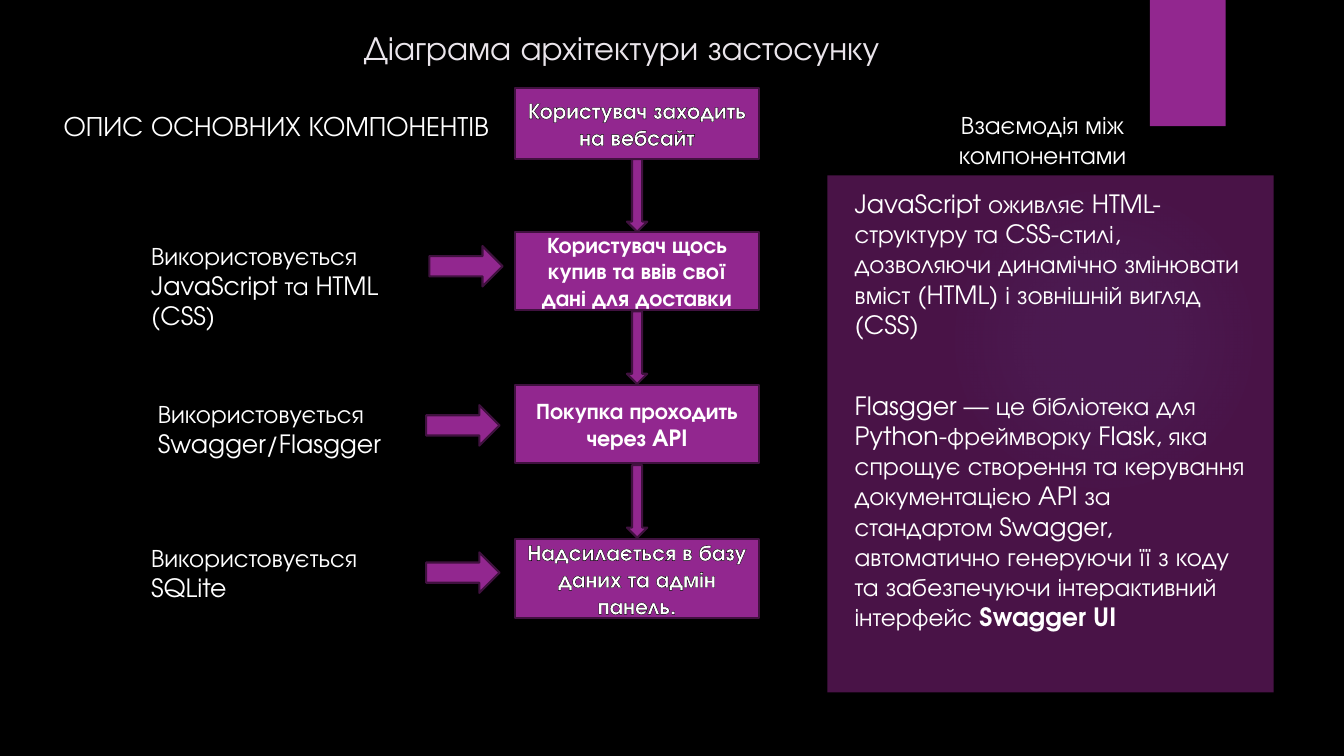
from lxml.etree import SubElement, fromstring
from pptx import Presentation
from pptx.dml.color import RGBColor
from pptx.enum.shapes import MSO_SHAPE as Shape
from pptx.enum.text import MSO_ANCHOR as Anchor, PP_ALIGN as Align
from pptx.oxml.ns import qn
from pptx.util import Cm, Pt

FONT = "TeX Gyre Adventor"
COLORS = {"back": "000000", "fill": "92278F", "line": "40113F",
          "text": "FFFFFF", "title": "EAE5EB", "glow": "45A5ED"}

TITLE = "Діаграма архітектури застосунку"
PARTS = "ОПИС ОСНОВНИХ КОМПОНЕНТІВ"
LINKS = "Взаємодія між компонентами"
STEPS = [  # text, top, height, outlined
    ("Користувач заходить на вебсайт", 2.21, 1.8, True),
    ("Користувач щось купив та ввів свої дані для доставки", 5.84, 1.98, False),
    ("Покупка проходить через API", 9.7, 1.98, False),
    ("Надсилається в базу даних та адмін панель.", 13.59, 1.98, True),
]
NOTES = [
    ("Використовується JavaScript та HTML (CSS)", (3.56, 5.92, 6.78, 2.57), (10.82, 6.2)),
    ("Використовується\nSwagger/Flasgger", (3.73, 9.91, 6.45, 1.8), (10.74, 10.21)),
    ("Використовується\nSQLite", (3.56, 13.54, 6.78, 1.8), (10.74, 13.92)),
]
SCRIPT = ("JavaScript оживляє HTML-структуру та CSS-стилі, дозволяючи динамічно "
          "змінювати вміст (HTML) і зовнішній вигляд (CSS)")
DOCS = ("Flasgger — це бібліотека для Python-фреймворку Flask, яка спрощує створення "
        "та керування документацією API за стандартом Swagger, автоматично генеруючи "
        "її з коду та забезпечуючи інтерактивний інтерфейс\u00a0".replace("\u00a0", " "))
DOCS_END = "Swagger UI"
STEP_X, STEP_W = 12.98, 6.15
DOWN_W, DOWN_H = 1.83, 0.51
SIDE_W, SIDE_H = 1.85, 1.02
GLOW = [(0, 7), (36, 6), (69, 0)]


def rgb(name):
    return RGBColor.from_string(COLORS[name])


def style(frame, size, color="text", align=Align.LEFT, bold=False):
    for para in frame.paragraphs:
        para.alignment = align
        for run in para.runs:
            font = run.font
            font.name, font.size, font.bold = FONT, Pt(size), bold
            font.color.rgb = rgb(color)


def add_text(slide, text, box, size=18, color="text", align=Align.LEFT, anchor=Anchor.TOP):
    frame = slide.shapes.add_textbox(*map(Cm, box)).text_frame
    frame.word_wrap = True
    frame.vertical_anchor = anchor
    frame.text = text
    style(frame, size, color, align)
    return frame


def add_block(slide, kind, box, edge=True):
    shape = slide.shapes.add_shape(kind, *map(Cm, box))
    shape.shadow.inherit = False
    shape.fill.solid()
    shape.fill.fore_color.rgb = rgb("fill")
    if edge:
        shape.line.color.rgb = rgb("line")
        shape.line.width = Pt(1.5)
    else:
        shape.line.fill.background()
    return shape


def add_arrow(slide, box, turn=0):
    arrow = add_block(slide, Shape.RIGHT_ARROW, box)
    arrow.rotation = turn
    return arrow


def add_glow(slide, box):
    shape = slide.shapes.add_shape(Shape.OVAL, *map(Cm, box))
    shape.shadow.inherit = False
    shape.line.fill.background()
    stops = "".join(
        f'<a:gs pos="{pos * 1000}"><a:srgbClr val="{COLORS["glow"]}">'
        f'<a:alpha val="{alpha * 1000}"/></a:srgbClr></a:gs>' for pos, alpha in GLOW)
    grad = fromstring(
        '<a:gradFill xmlns:a="http://schemas.openxmlformats.org/drawingml/2006/main">'
        f'<a:gsLst>{stops}</a:gsLst><a:path path="circle">'
        '<a:fillToRect l="50000" t="50000" r="50000" b="50000"/></a:path></a:gradFill>')
    shape._element.spPr.insert(2, grad)


def add_step(slide, text, top, height, lined):
    frame = add_block(slide, Shape.RECTANGLE, (STEP_X, top, STEP_W, height)).text_frame
    frame.word_wrap = True
    frame.vertical_anchor = Anchor.MIDDLE
    frame.text = text
    style(frame, 16, align=Align.CENTER, bold=True)
    if lined:
        props = frame.paragraphs[0].runs[0].font._element
        line = props.makeelement(qn("a:ln"), {"w": str(Pt(0.75))})
        fill = SubElement(line, qn("a:solidFill"))
        SubElement(fill, qn("a:srgbClr"), val=COLORS["back"])
        props.insert(0, line)


def main():
    """Build the architecture slide."""
    deck = Presentation()
    deck.slide_width, deck.slide_height = Cm(33.87), Cm(19.05)
    slide = deck.slides.add_slide(deck.slide_layouts[6])
    slide.background.fill.solid()
    slide.background.fill.fore_color.rgb = rgb("back")

    add_glow(slide, (23.9, 4.65, 7.82, 7.82))
    add_block(slide, Shape.RECTANGLE, (28.98, 0, 1.91, 3.18), edge=False)
    add_text(slide, TITLE, (8.92, 0.81, 14.81, 1.02), 24, "title", anchor=Anchor.BOTTOM)
    add_text(slide, PARTS, (1.3, 2.62, 11.33, 2.39), 20, align=Align.CENTER)

    for step in STEPS:
        add_step(slide, *step)
    for (_, top, height, _), (_, below, _, _) in zip(STEPS, STEPS[1:]):
        mid = (top + height + below) / 2
        left = STEP_X + (STEP_W - DOWN_W) / 2
        add_arrow(slide, (left, mid - DOWN_H / 2, DOWN_W, DOWN_H), 90)

    for text, box, spot in NOTES:
        add_text(slide, text, box)
        add_arrow(slide, (*spot, SIDE_W, SIDE_H))

    add_text(slide, LINKS, (22.35, 2.62, 7.85, 1.8), align=Align.CENTER)
    panel = add_block(slide, Shape.RECTANGLE, (20.85, 4.42, 11.25, 13.03), edge=False)
    tint = panel._element.spPr.find(qn("a:solidFill"))[0]
    SubElement(tint, qn("a:alpha"), val="50000")
    add_text(slide, SCRIPT, (21.29, 4.62, 10.36, 4.11))
    docs = add_text(slide, DOCS, (21.29, 9.7, 10.36, 7.19))
    docs.paragraphs[0].add_run().text = DOCS_END
    style(docs, 18)
    docs.paragraphs[0].runs[-1].font.bold = True

    deck.save("out.pptx")


if __name__ == "__main__":
    main()
